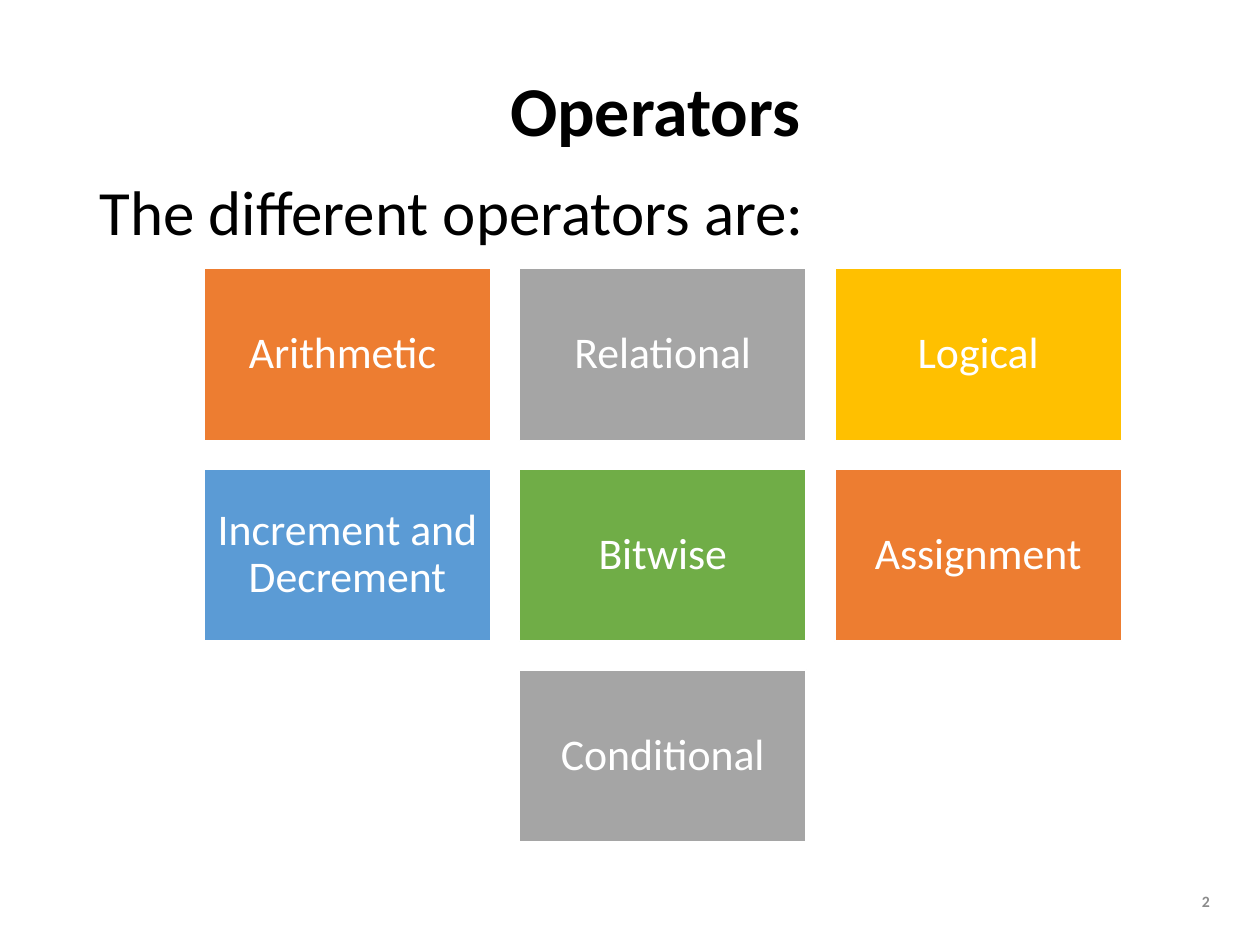
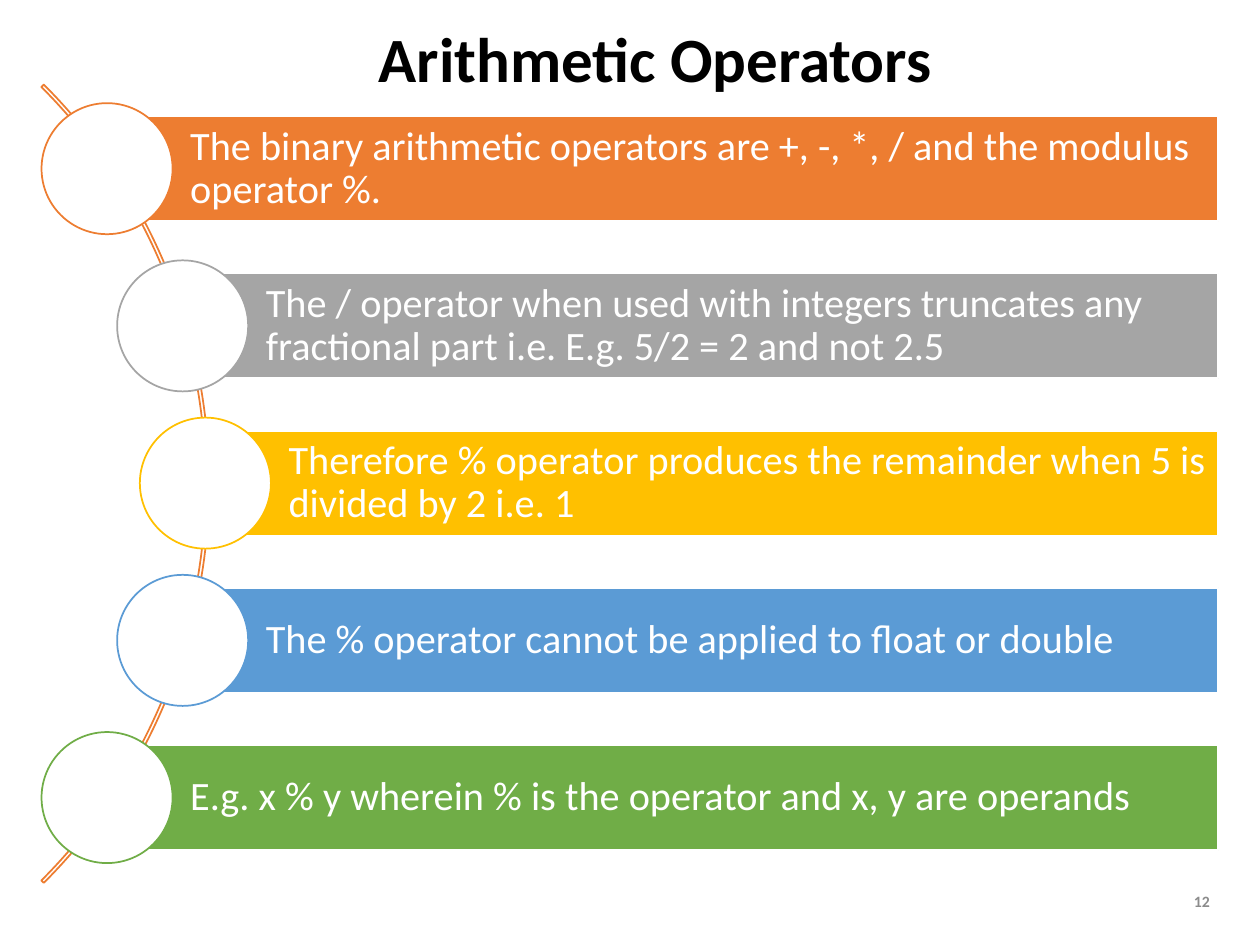
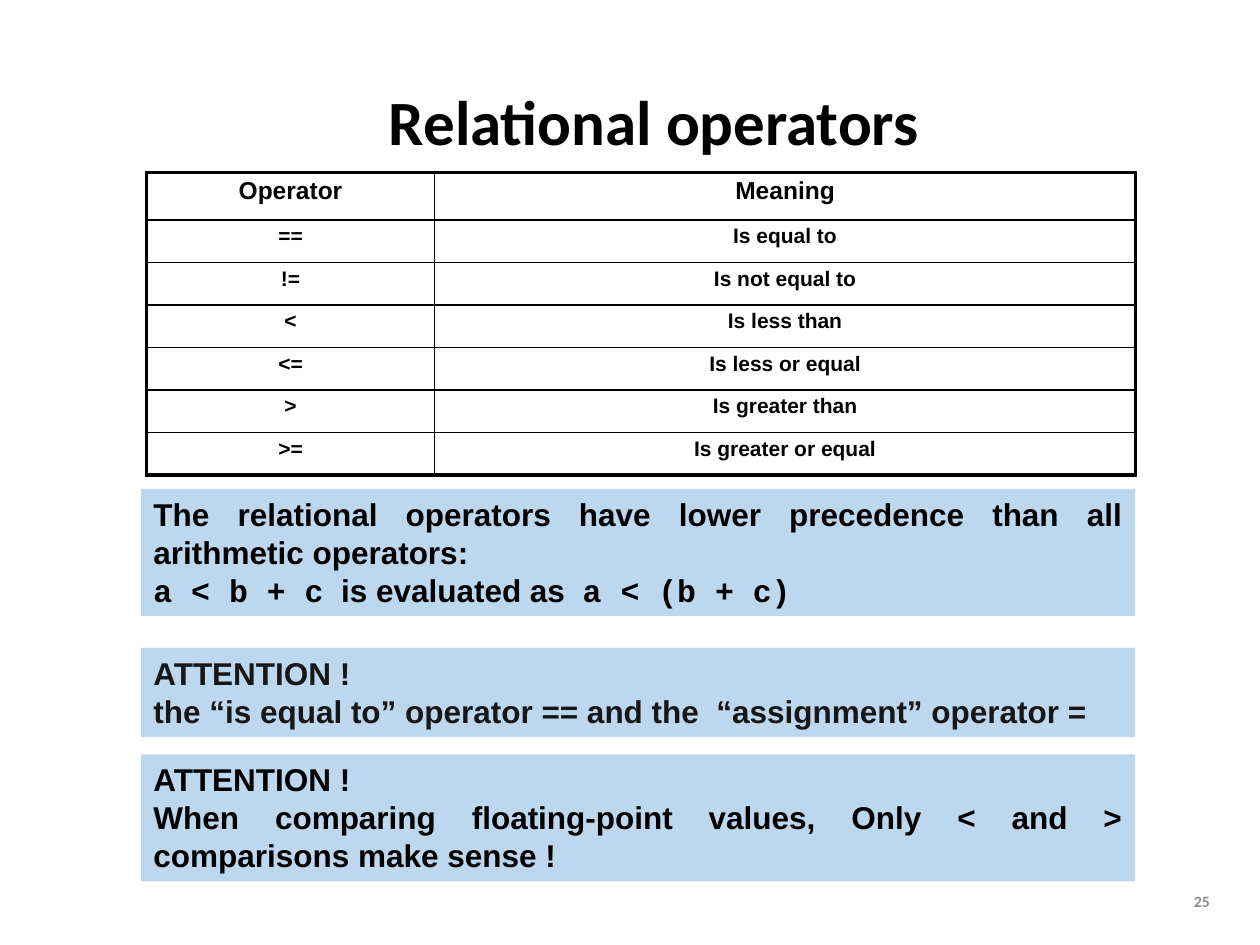
from lxml.etree import SubElement
from pptx import Presentation
from pptx.dml.color import RGBColor
from pptx.enum.shapes import MSO_SHAPE
from pptx.enum.text import MSO_ANCHOR, MSO_AUTO_SIZE, PP_ALIGN
from pptx.oxml.ns import qn
from pptx.util import Pt

COLORS = {
    "black": "000000", "white": "FFFFFF", "charcoal": "181717", "number": "8C8C8C",
    "orange": "ED7D31", "gray": "A5A5A5", "gold": "FFC000",
    "blue": "5B9BD5", "green": "70AD47", "pale": "BDD7EE",
}
ACCENTS = ["orange", "gray", "gold", "blue", "green"]

OPERATORS = ["Arithmetic ", "Relational", "Logical", "Increment and Decrement",
             "Bitwise", "Assignment", "Conditional"]

# Distance of each circle's centre from the left edge, and the bar's text
ARITHMETIC = [
    (61.2, "The binary arithmetic operators are +, -, *, / and the modulus operator %."),
    (104.4, "The / operator when used with integers truncates any fractional part "
            "i.e. E.g. 5/2 = 2 and not 2.5"),
    (117.4, "Therefore % operator produces the remainder when 5 is divided by 2 i.e. 1"),
    (104.4, "The % operator cannot be applied to float or double"),
    (61.2, "E.g. x % y wherein % is the operator and x, y are operands"),
]

RELATIONAL = [
    ("Operator", "Meaning"), ("==", "Is equal to"), ("!=", "Is not equal to"),
    ("<", "Is less than"), ("<=", "Is less or equal"),
    (">", "Is greater than"), (">=", "Is greater or equal"),
]

# Top, height, text colour, and paragraphs made of (text, font) runs
NOTES = [
    (279.3, 72.7, "black", [
        [("The relational operators have lower precedence than all arithmetic operators:",
          "Arial")],
        [("a < b + c", "Courier New"), ("  is evaluated as  ", "Arial"),
         ("a < (b + c)", "Courier New")]]),
    (370.3, 50.9, "charcoal", [
        [("ATTENTION !", "Arial")],
        [("the “is equal to” operator == and the  “assignment” operator =", "Arial")]]),
    (431, 72.7, "black", [
        [("ATTENTION !", "Arial")],
        [("When comparing floating-point values, Only < and > comparisons make sense !",
          "Arial")]]),
]


def rgb(name):
    return RGBColor.from_string(COLORS[name])


def style(p, size, color, bold=False, align=PP_ALIGN.LEFT, spacing=None, font="Calibri"):
    p.alignment = align
    p.line_spacing = spacing
    p.font.name = font
    p.font.size = Pt(size)
    p.font.bold = bold
    p.font.color.rgb = rgb(color)


def set_margins(target, left, top, right, bottom):
    target.margin_left, target.margin_top = Pt(left), Pt(top)
    target.margin_right, target.margin_bottom = Pt(right), Pt(bottom)


def add_text(slide, box, text, size, color="black", anchor=MSO_ANCHOR.MIDDLE, **look):
    tf = slide.shapes.add_textbox(*map(Pt, box)).text_frame
    tf.word_wrap = True
    tf.vertical_anchor = anchor
    p = tf.paragraphs[0]
    p.text = text
    style(p, size, color, **look)


def add_title(slide, text, size, box):
    add_text(slide, box, text, size, bold=True, align=PP_ALIGN.CENTER, spacing=0.9)


def add_number(slide, number):
    add_text(slide, (670.3, 500.4, 28.1, 28.8), str(number), 9, "number",
             bold=True, align=PP_ALIGN.RIGHT)


def add_block(slide, kind, box, fill=None, line=None):
    sp = slide.shapes.add_shape(kind, *map(Pt, box))
    sp.shadow.inherit = False
    if fill:
        sp.fill.solid()
        sp.fill.fore_color.rgb = rgb(fill)
    else:
        sp.fill.background()
    if line:
        sp.line.color.rgb = rgb(line)
        sp.line.width = Pt(1)
    else:
        sp.line.fill.background()
    return sp


def add_label(slide, box, text, fill, size, margins, align):
    sp = add_block(slide, MSO_SHAPE.RECTANGLE, box, fill, "white")
    tf = sp.text_frame
    tf.word_wrap = True
    set_margins(tf, *margins)
    p = tf.paragraphs[0]
    p.text = text
    style(p, size, "white", align=align, spacing=0.9)


def add_note(slide, top, height, color, paragraphs):
    sp = add_block(slide, MSO_SHAPE.RECTANGLE, (80.6, top, 568.1, height), "pale")
    tf = sp.text_frame
    tf.word_wrap = True
    tf.auto_size = MSO_AUTO_SIZE.SHAPE_TO_FIT_TEXT
    tf.vertical_anchor = MSO_ANCHOR.TOP
    for i, runs in enumerate(paragraphs):
        p = tf.add_paragraph() if i else tf.paragraphs[0]
        style(p, 18, color, bold=True, align=PP_ALIGN.JUSTIFY, font="Arial")
        for text, font in runs:
            r = p.add_run()
            r.text = text
            r.font.name = font


def set_borders(cell, widths):
    """Draw black left, right, top and bottom borders, ahead of the cell fill."""
    props = cell._tc.get_or_add_tcPr()
    for i, (side, width) in enumerate(zip("LRTB", widths)):
        ln = SubElement(props, qn(f"a:ln{side}"), w=str(Pt(width)))
        fill = SubElement(ln, qn("a:solidFill"))
        SubElement(fill, qn("a:srgbClr"), val=COLORS["black"])
        props.insert(i, ln)


def add_grid(slide, rows, box, col_widths, row_heights):
    last_row, last_col = len(rows) - 1, len(col_widths) - 1
    table = slide.shapes.add_table(len(rows), len(col_widths), *map(Pt, box)).table
    table.first_row = table.horz_banding = False
    for col, width in zip(table.columns, col_widths):
        col.width = Pt(width)
    for i, texts in enumerate(rows):
        table.rows[i].height = Pt(row_heights[i])
        for j, text in enumerate(texts):
            cell = table.cell(i, j)
            cell.fill.background()
            set_margins(cell, 8.6, 2.9, 8.6, 2.9)
            outer = (j == 0, j == last_col, i == 0, i == last_row)
            set_borders(cell, [2.25 if edge else 1 for edge in outer])
            p = cell.text_frame.paragraphs[0]
            p.text = text
            style(p, 12 if i else 14, "black", bold=True,
                  align=PP_ALIGN.CENTER, font="Arial")


def build_operators(slide):
    add_title(slide, "Operators", 40, (49.7, 40.3, 649.4, 49.7))
    add_text(slide, (49.7, 100.1, 649.4, 60.5), "The different operators are:", 36,
             anchor=MSO_ANCHOR.TOP, spacing=0.9)
    # Three columns, with the last tile centred below
    width, height, gap = 163.8, 98.3, 16.4
    for i, name in enumerate(OPERATORS):
        row, col = divmod(i, 3)
        if i == len(OPERATORS) - 1:
            col = 1
        box = (116.6 + col * (width + gap), 153.4 + row * (height + gap), width, height)
        add_label(slide, box, name, ACCENTS[i % len(ACCENTS)], 25,
                  (7.2, 7.2, 7.2, 7.2), PP_ALIGN.CENTER)
    add_number(slide, 2)


def build_arithmetic(slide):
    add_title(slide, "Arithmetic Operators", 36, (49.7, 10.8, 649.4, 49.7))
    # Arc behind the circles
    arc = add_block(slide, MSO_SHAPE.BLOCK_ARC, (-525.6, -46.1, 645.1, 645.1), line="orange")
    for i, value in enumerate((189, 27, 0.003)):
        arc.adjustments[i] = value
    # Bars, each headed by a circle
    right, height, diameter, pitch = 696.2, 59.9, 74.9, 89.85
    for i, ((x, text), color) in enumerate(zip(ARITHMETIC, ACCENTS)):
        y = 96.4 + i * pitch
        add_label(slide, (x, y - height / 2, right - x, height), text, color, 23,
                  (47.5, 4.2, 4.2, 4.2), PP_ALIGN.LEFT)
        add_block(slide, MSO_SHAPE.OVAL,
                  (x - diameter / 2, y - diameter / 2, diameter, diameter), "white", color)
    add_number(slide, 12)


def build_relational(slide):
    add_title(slide, "Relational operators", 36, (162, 51.1, 423.4, 40.3))
    add_grid(slide, RELATIONAL, (83.7, 98.6, 565.2, 172.8), (164.7, 400.5),
             [27] + [24.3] * 6)
    for note in NOTES:
        add_note(slide, *note)
    add_number(slide, 25)


def main():
    prs = Presentation()
    prs.slide_width, prs.slide_height = Pt(720), Pt(540)
    for build in (build_operators, build_arithmetic, build_relational):
        build(prs.slides.add_slide(prs.slide_layouts[6]))
    prs.save("out.pptx")


if __name__ == "__main__":
    main()
